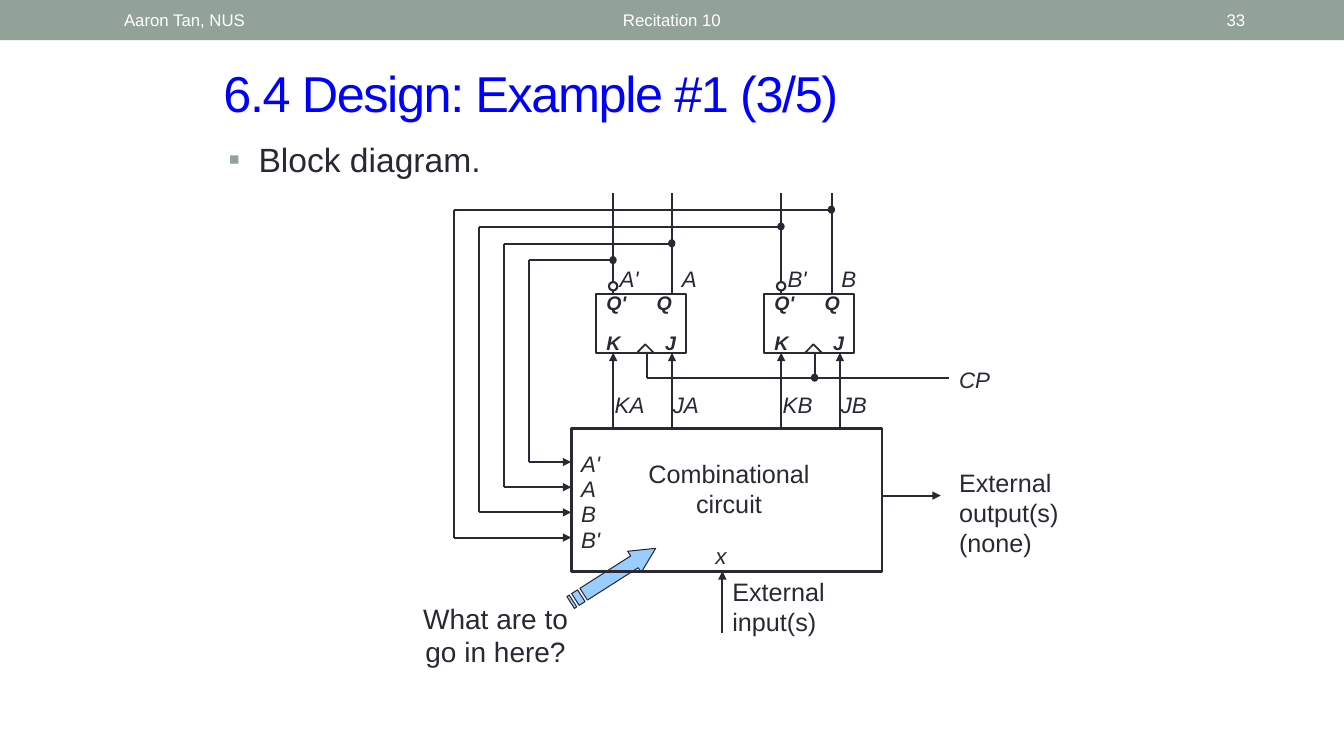
import dataclasses

import lxml.etree
import pptx
import pptx.dml.color
import pptx.enum.shapes
import pptx.enum.text
import pptx.oxml.ns
import pptx.util

Pt = pptx.util.Pt
RGB = pptx.dml.color.RGBColor.from_string
SHAPE = pptx.enum.shapes.MSO_SHAPE
ALIGN = pptx.enum.text.PP_ALIGN
ANCHOR = pptx.enum.text.MSO_ANCHOR
qn = pptx.oxml.ns.qn


@dataclasses.dataclass(frozen=True)
class Theme:
    font: str = "Arial"
    ink: str = "292934"
    title: str = "0000FF"
    accent: str = "93A299"
    white: str = "FFFFFF"
    pointer: str = "99CCFF"
    title_size: int = 36
    body_size: int = 24
    question_size: int = 20
    block_size: int = 18
    signal_size: int = 16
    pin_size: int = 14
    bar_size: int = 12


T = Theme()
SIGNAL = {"size": T.signal_size, "italic": True}
PIN = {"size": T.pin_size, "bold": True, "italic": True}


def add_text(s, lines, x, y, w, h, size, color=T.ink, align=ALIGN.LEFT,
             anchor=ANCHOR.TOP, wrap=False, **style):
    tf = s.shapes.add_textbox(Pt(x), Pt(y), Pt(w), Pt(h)).text_frame
    for name, value in {"word_wrap": wrap, "vertical_anchor": anchor}.items():
        setattr(tf, name, value)
    for i, line in enumerate(lines.split("\n")):
        p = tf.add_paragraph() if i else tf.paragraphs[0]
        p.alignment = align
        r = p.add_run()
        r.text = line
        for name, value in {"name": T.font, "size": Pt(size), **style}.items():
            setattr(r.font, name, value)
        r.font.color.rgb = RGB(color)
    return tf


def paint(sp, fill, line, width):
    """Set fill and outline; None leaves either one out."""
    sp.shadow.inherit = False
    for part, color in ((sp.fill, fill), (sp.line.fill, line)):
        if color:
            part.solid()
            part.fore_color.rgb = RGB(color)
        else:
            part.background()
    if line:
        sp.line.width = Pt(width)


def add_shape(s, kind, x, y, w, h, fill=None, line=T.ink, width=1.5):
    sp = s.shapes.add_shape(kind, Pt(x), Pt(y), Pt(w), Pt(h))
    paint(sp, fill, line, width)


def add_wire(s, x1, y1, x2, y2, arrow=False):
    c = s.shapes.add_connector(pptx.enum.shapes.MSO_CONNECTOR.STRAIGHT,
                               Pt(x1), Pt(y1), Pt(x2), Pt(y2))
    c.line.color.rgb = RGB(T.ink)
    c.line.width = Pt(1.5)
    if arrow:
        lxml.etree.SubElement(c.line._get_or_add_ln(), qn("a:tailEnd"), type="triangle")
    lxml.etree.SubElement(c._element.spPr, qn("a:effectLst"))


def add_dot(s, x, y):
    add_shape(s, SHAPE.OVAL, x - 2.4, y - 2.7, 4.5, 5, T.ink, T.ink, 0.75)


def draw_header(s, x, y, w, h):
    add_shape(s, SHAPE.RECTANGLE, x, y, w, h, T.accent, None)
    for text, dx, width, align in (("Recitation 10", 217.5, 525, ALIGN.CENTER),
                                   ("Aaron Tan, NUS", 81.5, 228, ALIGN.LEFT),
                                   ("33", 828, 68.5, ALIGN.RIGHT)):
        add_text(s, text, x + dx, y + 1.5, width, h - 3, T.bar_size, T.white,
                 align, ANCHOR.MIDDLE, True)


def draw_heading(s, x, y, w, h):
    """Title with one bullet line below it."""
    tf = add_text(s, "6.4 Design: Example #1 (3/5)", x, y, w, 50, T.title_size,
                  T.title, anchor=ANCHOR.MIDDLE, wrap=True)
    tf.paragraphs[0].runs[0].font._element.set("spc", "-100")
    tf = add_text(s, "Block diagram.", x + 3.5, y + h - 45, w - 15, 45,
                  T.body_size, wrap=True)
    pPr = tf.paragraphs[0]._p.get_or_add_pPr()
    indent = Pt(21.6)
    pPr.set("marL", str(indent))
    pPr.set("indent", str(-indent))
    color = lxml.etree.SubElement(pPr, qn("a:buClr"))
    lxml.etree.SubElement(color, qn("a:srgbClr"), val=T.accent)
    lxml.etree.SubElement(pPr, qn("a:buFont"), typeface=T.font)
    lxml.etree.SubElement(pPr, qn("a:buChar"), char="▪")


def draw_question(s, x, y, w, h):
    """Question with a striped arrow rising to the right."""
    add_text(s, "What are to\u0020go in here?", x, y + h - 55, w, 55,
             T.question_size, align=ALIGN.CENTER, wrap=True)
    body = [(54, 0), (54, 4.5), (11.25, 4.5), (11.25, 13.5), (54, 13.5), (54, 18), (72, 9)]
    stripes = [[(a, 4.5), (a, 13.5), (b, 13.5), (b, 4.5)] for a, b in ((4.5, 9), (0, 2.25))]
    fb = s.shapes.build_freeform(*body[0], scale=Pt(1))
    fb.add_line_segments(body[1:])
    for stripe in stripes:
        fb.move_to(*stripe[0])
        fb.add_line_segments(stripe[1:])
    sp = fb.convert_to_shape(Pt(x + 114), Pt(y))
    paint(sp, T.pointer, T.ink, 0.75)
    sp.rotation = 327.5


def draw_flip_flop(s, x, y, name, q_dx, top, bottom):
    """JK flip-flop at x, y with its wires running from top to bottom."""
    w, h = 64, 42
    for dx in (12, 54):
        add_wire(s, x + dx, bottom, x + dx, y + h, True)
    for dx in (12, q_dx):
        add_wire(s, x + dx, top, x + dx, y)
    add_wire(s, x + 36, y + h, x + 36, y + h + 18)
    add_shape(s, SHAPE.RECTANGLE, x, y, w, h)
    add_shape(s, SHAPE.ISOSCELES_TRIANGLE, x + 29, y + h - 6, 12, 6, width=1.25)
    add_shape(s, SHAPE.OVAL, x + 9, y - 8.5, 6, 6, T.white)
    for text, dx, dy, width in (("Q'", 0, -6, 30), ("Q", 36, -6, 25),
                                ("K", 0, 22.5, 24.5), ("J", 42, 22.5, 22)):
        add_text(s, text, x + dx, y + dy, width, 24, **PIN)
    for text, dx, dy, width in ((name + "'", 9.5, -24, 28), (name, q_dx, -24, 25),
                                ("K" + name, 6, 66, 36), ("J" + name, 47.5, 66, 33)):
        add_text(s, text, x + dx, y + dy, width, 26.5, **SIGNAL)


def draw_circuit(s, x, y, w, h):
    """Combinational circuit block with its inputs and outputs."""
    add_shape(s, SHAPE.RECTANGLE, x, y, w, h, width=2)
    add_text(s, "Combinational\ncircuit", x + 48, y + 18, 129.5, 50.5, T.block_size,
             align=ALIGN.CENTER)
    for i, (text, width) in enumerate((("A'", 28), ("A", 25), ("B", 25), ("B'", 28))):
        add_text(s, text, x, y + 12 + 18 * i, width, 26.5, **SIGNAL)
    add_text(s, "x", x + 96, y + 78, 22, 26.5, **SIGNAL)
    add_wire(s, x + 108, y + h + 44, x + 108, y + h, True)
    add_text(s, "External\ninput(s)", x + 108, y + h, 80.5, 50.5, T.block_size)
    add_wire(s, x + w, y + 48, x + w + 42, y + 48, True)
    add_text(s, "External\noutput(s)\n(none)", x + w + 48, y + 24, 85.5, 72, T.block_size)


def draw_diagram(s, x, y, w, h):
    block_x, block_y = x + 84, y + 168
    draw_circuit(s, block_x, block_y, 222, 102)
    for name, dx, q_dx in (("A", 102, 54), ("B", 222, 48)):
        draw_flip_flop(s, x + dx, y + 72, name, q_dx, y, block_y)

    for i, tap in enumerate((270, 234, 156, 114)):
        left, top, end = x + 18 * i, y + 12 + 12 * i, y + 246 - 18 * i
        add_wire(s, left, top, x + tap, top)
        add_wire(s, left, top, left, end)
        add_wire(s, left, end, block_x, end, True)
        add_dot(s, x + tap, top)

    clock_y = y + 132
    add_wire(s, x + 138, clock_y, x + 354, clock_y)
    add_dot(s, x + 258, clock_y)
    add_text(s, "CP", x + 354, clock_y - 12, 37, 26.5, **SIGNAL)


def main():
    prs = pptx.Presentation()
    prs.slide_width, prs.slide_height = Pt(960), Pt(540)
    s = prs.slides.add_slide(prs.slide_layouts[6])
    draw_header(s, 0, 0, 960, 28.8)
    draw_heading(s, 152.5, 41, 663, 99.5)
    draw_question(s, 288, 402, 132, 79)
    draw_diagram(s, 324, 138, 440, 320)
    prs.save("out.pptx")


if __name__ == "__main__":
    main()
